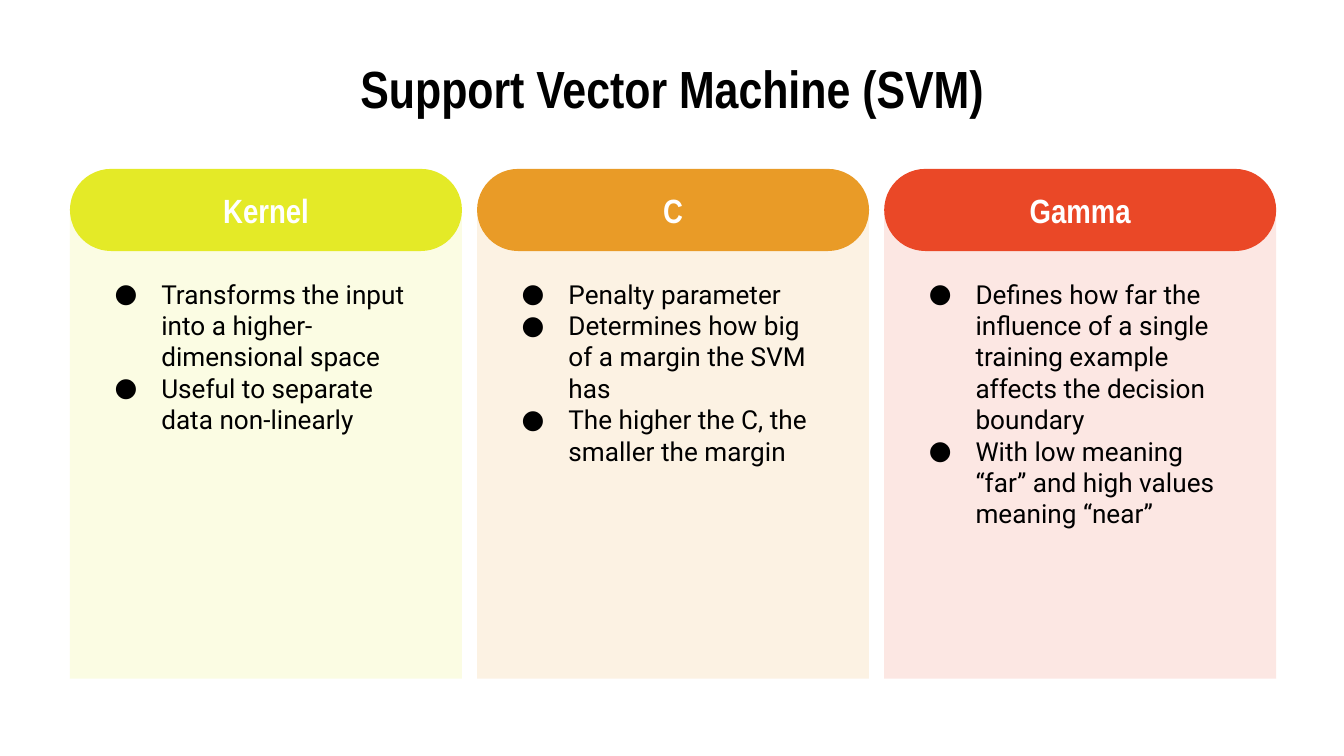
from dataclasses import dataclass

import pptx
import pptx.dml.color
import pptx.enum.shapes
import pptx.enum.text
import pptx.oxml
import pptx.oxml.ns
import pptx.util
from pptx.shapes.autoshape import Shape
from pptx.shapes.shapetree import SlideShapes

Pt = pptx.util.Pt
Kind = pptx.enum.shapes.MSO_SHAPE
Align = pptx.enum.text.PP_ALIGN
Anchor = pptx.enum.text.MSO_ANCHOR


@dataclass(frozen=True)
class Theme:
    ink: str = "000000"
    white: str = "FFFFFF"
    yellow: str = "E4EA27"
    orange: str = "E99B27"
    red: str = "EA4827"
    tint: int = 13  # panel opacity, percent
    head: str = "Arial Narrow"
    body: str = "Roboto"
    title: int = 28
    label: int = 18
    text: int = 14


@dataclass(frozen=True)
class Box:
    left: float
    top: float
    width: float
    height: float

    def points(self) -> list[pptx.util.Length]:
        return [Pt(v) for v in (self.left, self.top, self.width, self.height)]


@dataclass(frozen=True)
class Column:
    name: str
    color: str
    items: tuple[str, ...]


THEME = Theme()
COLUMNS = (
    Column("Kernel", THEME.yellow, (
        "Transforms the input into a higher-dimensional space",
        "Useful to separate data non-linearly",
    )),
    Column("C", THEME.orange, (
        "Penalty parameter",
        "Determines how big of a margin the SVM has",
        "The higher the C, the smaller the margin",
    )),
    Column("Gamma", THEME.red, (
        "Defines how far the influence of a single training example "
        "affects the decision boundary",
        "With low meaning “far” and high values meaning “near”",
    )),
)

# Column grid
LEFT, STEP, WIDTH = 37.5, 218.1, 210
INSET = 16.8  # from panel edge to text box
INDENT = 25


def rgb(color: str) -> pptx.dml.color.RGBColor:
    return pptx.dml.color.RGBColor.from_string(color)


def add_block(shapes: SlideShapes, kind: Kind, box: Box, color: str) -> Shape:
    block = shapes.add_shape(kind, *box.points())
    block.shadow.inherit = False
    block.fill.solid()
    block.fill.fore_color.rgb = rgb(color)
    block.line.fill.background()
    return block


def fade(block: Shape, percent: int) -> None:
    tone = block.fill._xPr.find(".//" + pptx.oxml.ns.qn("a:srgbClr"))
    alpha = pptx.oxml.parse_xml(
        f'<a:alpha {pptx.oxml.ns.nsdecls("a")} val="{percent * 1000}"/>')
    tone.append(alpha)


def add_frame(shapes: SlideShapes, box: Box, anchor: Anchor):
    frame = shapes.add_textbox(*box.points()).text_frame
    frame.word_wrap = True
    frame.vertical_anchor = anchor
    frame.margin_left = frame.margin_right = Pt(7.2)
    frame.margin_top = frame.margin_bottom = Pt(7.2)
    return frame


def add_run(para, text: str, font: str, size: int, color: str,
            bold: bool = False) -> None:
    run = para.add_run()
    run.text = text
    run.font.name = font
    run.font.size = Pt(size)
    run.font.bold = bold
    run.font.color.rgb = rgb(color)


def add_head(shapes: SlideShapes, box: Box, text: str, size: int,
             color: str) -> None:
    para = add_frame(shapes, box, Anchor.MIDDLE).paragraphs[0]
    para.alignment = Align.CENTER
    add_run(para, text, THEME.head, size, color, bold=True)


def add_bullet(para) -> None:
    props = para._p.get_or_add_pPr()
    props.set("marL", str(Pt(INDENT)))
    props.set("indent", str(-Pt(INDENT)))
    space = pptx.oxml.ns.nsdecls("a")
    for part in (
        f'<a:buClr {space}><a:srgbClr val="{THEME.ink}"/></a:buClr>',
        f'<a:buFont {space} typeface="{THEME.body}"/>',
        f'<a:buChar {space} char="●"/>',
    ):
        props.append(pptx.oxml.parse_xml(part))


def add_list(shapes: SlideShapes, box: Box, items: tuple[str, ...]) -> None:
    frame = add_frame(shapes, box, Anchor.TOP)
    for i, item in enumerate(items):
        para = frame.add_paragraph() if i else frame.paragraphs[0]
        add_bullet(para)
        add_run(para, item, THEME.body, THEME.text, THEME.ink)


def add_column(shapes: SlideShapes, column: Column, left: float) -> None:
    # Pale panel under a rounded header
    panel = add_block(shapes, Kind.RECTANGLE,
                      Box(left, 111.6, WIDTH, 252), column.color)
    fade(panel, THEME.tint)
    pill = add_block(shapes, Kind.ROUNDED_RECTANGLE,
                     Box(left, 90.5, WIDTH, 44), column.color)
    pill.adjustments[0] = 0.5

    # Header and bullet text
    inner, width = left + INSET, WIDTH - 2 * INSET
    add_head(shapes, Box(inner, 99.4, width, 26), column.name,
             THEME.label, THEME.white)
    add_list(shapes, Box(inner, 141.8, width, 89.3), column.items)


def main() -> None:
    deck = pptx.Presentation()
    deck.slide_width, deck.slide_height = Pt(720), Pt(405)
    slide = deck.slides.add_slide(deck.slide_layouts[6])
    slide.background.fill.solid()
    slide.background.fill.fore_color.rgb = rgb(THEME.white)

    # Title
    add_head(slide.shapes, Box(36, 32.4, 648, 29.5),
             "Support Vector Machine (SVM)", THEME.title, THEME.ink)

    # Three columns
    for i, column in enumerate(COLUMNS):
        add_column(slide.shapes, column, LEFT + i * STEP)

    deck.save("out.pptx")


if __name__ == "__main__":
    main()
